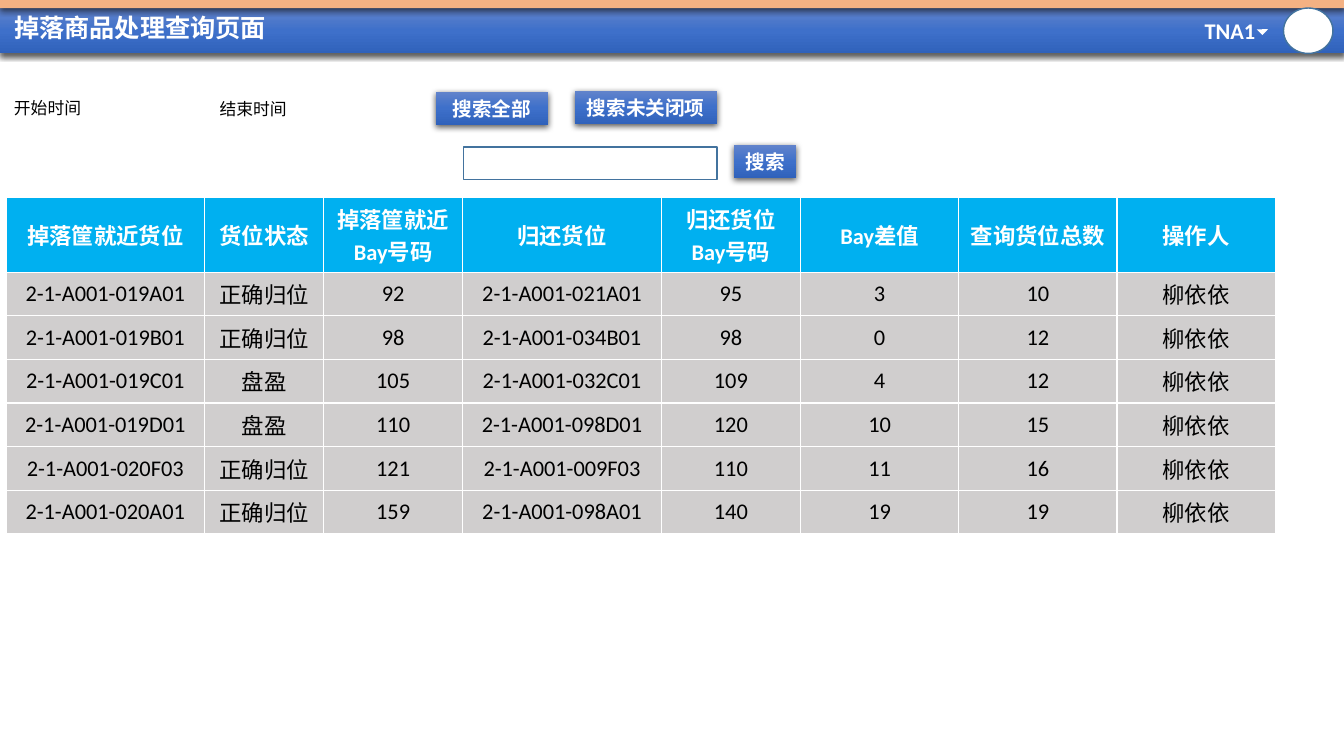
from copy import deepcopy

from lxml.etree import SubElement
from pptx import Presentation
from pptx.dml.color import RGBColor
from pptx.enum.shapes import MSO_SHAPE
from pptx.enum.text import MSO_ANCHOR, MSO_AUTO_SIZE, PP_ALIGN
from pptx.oxml.ns import qn
from pptx.util import Inches, Pt

WHITE = RGBColor(0xFF, 0xFF, 0xFF)
BLACK = RGBColor(0x00, 0x00, 0x00)
ORANGE = RGBColor(0xF4, 0xB1, 0x83)
OUTLINE = RGBColor(0x43, 0x73, 0x9E)
HEADER_CYAN = RGBColor(0x00, 0xB0, 0xF0)
ROW_GRAY = RGBColor(0xD0, 0xCE, 0xCE)
BLUE_STOPS = [(0, RGBColor(0x61, 0x83, 0xCB)),
              (0.5, RGBColor(0x3E, 0x70, 0xCA)),
              (1, RGBColor(0x30, 0x62, 0xBB))]
FONT = "Calibri"
SLIDE_WIDTH, SLIDE_HEIGHT = 13.33, 7.5
BUTTON_HEIGHT = 0.33

COLUMN_WIDTHS = [1.97, 1.18, 1.38, 1.97, 1.38, 1.57, 1.57, 1.57]
HEADINGS = ["掉落筐就近货位", "货位状态", "掉落筐就近Bay号码", "归还货位",
            "归还货位Bay号码", "Bay差值", "查询货位总数", "操作人"]
RECORDS = [
    ["2-1-A001-019A01", "正确归位", "92", "2-1-A001-021A01", "95", "3", "10", "柳依依"],
    ["2-1-A001-019B01", "正确归位", "98", "2-1-A001-034B01", "98", "0", "12", "柳依依"],
    ["2-1-A001-019C01", "盘盈", "105", "2-1-A001-032C01", "109", "4", "12", "柳依依"],
    ["2-1-A001-019D01", "盘盈", "110", "2-1-A001-098D01", "120", "10", "15", "柳依依"],
    ["2-1-A001-020F03", "正确归位", "121", "2-1-A001-009F03", "110", "11", "16", "柳依依"],
    ["2-1-A001-020A01", "正确归位", "159", "2-1-A001-098A01", "140", "19", "19", "柳依依"],
]


def within(box, left, top, width, height):
    """Return slide lengths for a part offset from the corner of its box."""
    return [Inches(length) for length in (box[0] + left, box[1] + top, width, height)]


def write(frame, text, size, color, bold=False, align=PP_ALIGN.LEFT):
    """Add one formatted run to the first paragraph of a text frame."""
    paragraph = frame.paragraphs[0]
    paragraph.alignment = align
    run = paragraph.add_run()
    run.text = text
    run.font.name = FONT
    run.font.size = Pt(size)
    run.font.bold = bold
    run.font.color.rgb = color
    return paragraph


def add_plain(slide, kind, place, fill=None, line=None):
    """Add a preset shape with an optional solid fill and outline."""
    shape = slide.shapes.add_shape(kind, *place)
    shape.shadow.inherit = False
    if fill is None:
        shape.fill.background()
    else:
        shape.fill.solid()
        shape.fill.fore_color.rgb = fill
    if line is None:
        shape.line.fill.background()
    else:
        shape.line.color.rgb = line
        shape.line.width = Pt(1)
    return shape


def add_shadow(shape):
    """Give a shape a soft shadow that falls downwards."""
    effects = shape.element.spPr.find(qn("a:effectLst"))
    shadow = SubElement(effects, qn("a:outerShdw"), blurRad=str(Pt(4.5)),
                        dist=str(Pt(1.5)), dir="5400000", algn="ctr", rotWithShape="0")
    color = SubElement(shadow, qn("a:srgbClr"), val=str(BLACK))
    SubElement(color, qn("a:alpha"), val="63000")


def add_raised(slide, place):
    """Add a rectangle with the blue gradient and a shadow."""
    shape = add_plain(slide, MSO_SHAPE.RECTANGLE, place)
    shape.fill.gradient()
    shape.fill.gradient_angle = 270
    stop_list = next(shape.element.iter(qn("a:gsLst")))
    stop_list.append(deepcopy(stop_list[0]))
    for stop, (position, color) in zip(shape.fill.gradient_stops, BLUE_STOPS):
        stop.position = position
        stop.color.rgb = color
    add_shadow(shape)
    return shape


def add_button(slide, place, text):
    """Add a raised button with a centred caption."""
    frame = add_raised(slide, place).text_frame
    frame.vertical_anchor = MSO_ANCHOR.MIDDLE
    write(frame, text, 14, WHITE, True, PP_ALIGN.CENTER)


def add_label(slide, place, text, size, color, bold=False):
    """Add a one-line text box."""
    frame = slide.shapes.add_textbox(*place).text_frame
    frame.word_wrap = False
    frame.auto_size = MSO_AUTO_SIZE.SHAPE_TO_FIT_TEXT
    write(frame, text, size, color, bold)


def add_header(slide, box):
    """Draw the header bar with the page title and the user menu."""
    width, height = box[2:]
    add_raised(slide, within(box, 0, 0, width, height))
    strip = add_plain(slide, MSO_SHAPE.RECTANGLE, within(box, 0, -0.11, width, 0.11), ORANGE)
    add_shadow(strip)
    add_plain(slide, MSO_SHAPE.OVAL, within(box, width - 0.6, 0, 0.49, height), WHITE, OUTLINE)
    add_label(slide, within(box, width - 1.48, 0.04, 0.71, 0.37), "TNA1", 16, WHITE, True)
    arrow = add_plain(slide, MSO_SHAPE.RIGHT_TRIANGLE,
                      within(box, width - 0.85, 0.17, 0.08, 0.08), WHITE)
    arrow.rotation = 314.5

    title = slide.shapes.title
    title.element.getparent().append(title.element)
    title.left, title.top, title.width, title.height = within(box, 0.04, 0, 11.5, 0.42)
    frame = title.text_frame
    frame.auto_size = MSO_AUTO_SIZE.NONE
    frame.vertical_anchor = MSO_ANCHOR.MIDDLE
    paragraph = write(frame, "掉落商品处理查询页面", 18, WHITE, True)
    paragraph.line_spacing = 0.9


def add_filters(slide, box):
    """Draw the time labels, the search field and the search buttons."""
    for left, top, text in [(0, 0.02, "开始时间"), (2.04, 0.03, "结束时间")]:
        add_label(slide, within(box, left, top, 0.88, 0.3), text, 12, BLACK)
    add_plain(slide, MSO_SHAPE.RECTANGLE, within(box, 4.56, 0.56, 2.51, 0.32), line=OUTLINE)
    buttons = [(4.28, 0.01, 1.12, "搜索全部"), (5.66, 0, 1.41, "搜索未关闭项"),
               (7.24, 0.54, 0.62, "搜索")]
    for left, top, width, text in buttons:
        add_button(slide, within(box, left, top, width, BUTTON_HEIGHT), text)


def add_records(slide, box):
    """Draw the table of returned items under a taller heading row."""
    rows = [HEADINGS] + RECORDS
    table = slide.shapes.add_table(len(rows), len(HEADINGS), *within(box, 0, 0, *box[2:])).table
    table.horz_banding = False
    for column, width in zip(table.columns, COLUMN_WIDTHS):
        column.width = Inches(width)
    heading_height = 0.22 * box[3]
    record_height = (box[3] - heading_height) / len(RECORDS)
    for index, texts in enumerate(rows):
        heading = index == 0
        table.rows[index].height = Inches(heading_height if heading else record_height)
        for cell, text in zip(table.rows[index].cells, texts):
            cell.fill.solid()
            cell.fill.fore_color.rgb = HEADER_CYAN if heading else ROW_GRAY
            cell.vertical_anchor = MSO_ANCHOR.MIDDLE
            write(cell.text_frame, text, 16, WHITE if heading else BLACK,
                  heading, PP_ALIGN.CENTER)


def main():
    """Build the query page and save it."""
    presentation = Presentation()
    presentation.slide_width = Inches(SLIDE_WIDTH)
    presentation.slide_height = Inches(SLIDE_HEIGHT)
    slide = presentation.slides.add_slide(presentation.slide_layouts[5])
    add_header(slide, (0, 0.08, SLIDE_WIDTH, 0.45))
    add_records(slide, (0.06, 1.96, sum(COLUMN_WIDTHS), 3.33))
    add_filters(slide, (0.04, 0.9, 7.86, 0.88))
    presentation.save("out.pptx")


main()
